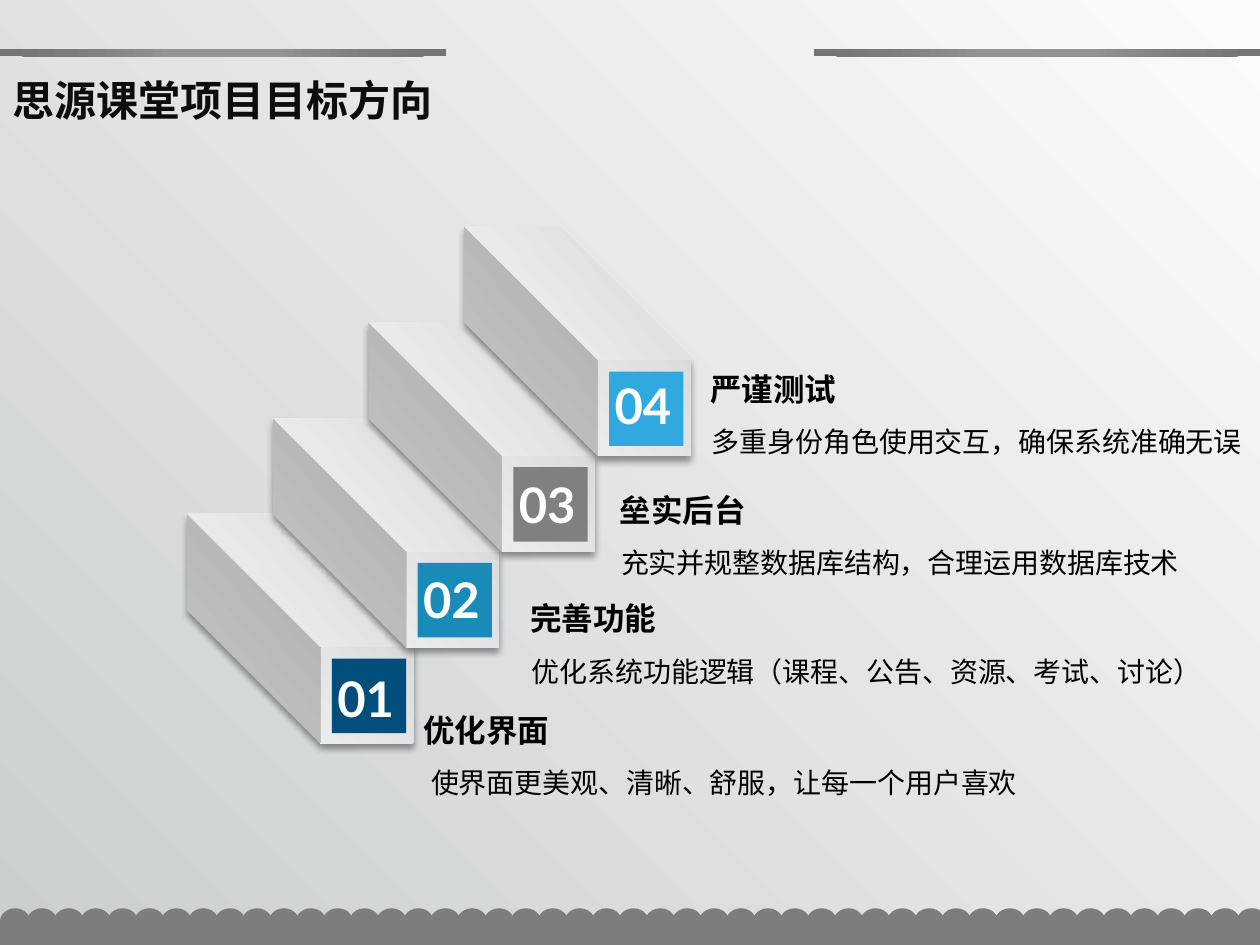
import math
import lxml.etree
import pptx
import pptx.dml.color
import pptx.enum.shapes
import pptx.enum.text
import pptx.oxml.ns
import pptx.util

Cm = pptx.util.Cm
Pt = pptx.util.Pt
qn = pptx.oxml.ns.qn
PRESET = pptx.enum.shapes.MSO_SHAPE
CJK = "Noto Sans CJK SC"
GREY = "7D7D7D"
SILVER = ("FBFBFB", "CBCFD0")
SLIDE_WIDTH, SLIDE_HEIGHT = 25.4, 19.05

STEPS = [
    ("01", 3.78, 13.36, "014E7A", (7.44, 13.82, 14.33), 1.0,
     "优化界面", "使界面更美观、清晰、舒服，让每一个用户喜欢"),
    ("02", 5.51, 11.35, "1A8AB8", (9.6, 11.58, 15.77), 0.87,
     "完善功能", "优化系统功能逻辑（课程、公告、资源、考试、讨论）"),
    ("03", 7.44, 9.45, "808080", (11.4, 9.4, 13.2), 0.87,
     "垒实后台", "充实并规整数据库结构，合理运用数据库技术"),
    ("04", 9.37, 7.44, "2FA9DF", (13.23, 6.96, 12.7), 0.87,
     "严谨测试", "多重身份角色使用交互，确保系统准确无误"),
]


def color(hex_code):
    return pptx.dml.color.RGBColor.from_string(hex_code)


def sub(parent, tag, **attributes):
    return lxml.etree.SubElement(parent, qn(tag), attributes)


def fill_linear(fill, colors, clockwise):
    fill.gradient()
    fill.gradient_angle = 360 - clockwise
    for stop, hex_code in zip(fill.gradient_stops, colors):
        stop.color.rgb = color(hex_code)


def fill_radial(shape, stops):
    shape.fill.gradient()
    gradient = shape._element.spPr.find(qn("a:gradFill"))
    for child in list(gradient):
        gradient.remove(child)
    stop_list = sub(gradient, "a:gsLst")
    for percent, hex_code in stops:
        stop = sub(stop_list, "a:gs", pos=str(percent * 1000))
        sub(stop, "a:srgbClr", val=hex_code)
    circle = sub(gradient, "a:path", path="circle")
    sub(circle, "a:fillToRect", l="50000", t="50000", r="50000", b="50000")


def add_preset(shapes, preset, left, top, width, height, fill=None):
    shape = shapes.add_shape(preset, Cm(left), Cm(top), Cm(width), Cm(height))
    shape.shadow.inherit = False
    shape.line.fill.background()
    if fill:
        shape.fill.solid()
        shape.fill.fore_color.rgb = color(fill)
    return shape


def add_scallops(slide):
    shapes = slide.shapes.add_group_shape().shapes
    top, width, height, pitch, count = 18.31, 0.61, 0.53, 0.542, 46
    add_preset(shapes, PRESET.RECTANGLE, 0, 18.57, SLIDE_WIDTH, 0.48, GREY)
    for index in range(count):
        add_preset(shapes, PRESET.OVAL, index * pitch, top, width, height, GREY)
    center_x, center_y = count * pitch + width / 2, top + height / 2
    cut = math.degrees(math.acos((SLIDE_WIDTH - center_x) / (width / 2)))
    angles = [math.radians(cut + (360 - 2 * cut) * k / 24) for k in range(25)]
    arc = [(Cm(center_x + width / 2 * math.cos(a)),
            Cm(center_y + height / 2 * math.sin(a))) for a in angles]
    builder = shapes.build_freeform(*arc[0])
    builder.add_line_segments(arc[1:], close=True)
    edge = builder.convert_to_shape()
    edge.shadow.inherit = False
    edge.line.fill.background()
    edge.fill.solid()
    edge.fill.fore_color.rgb = color(GREY)


def add_header_bars(slide):
    width = 8.99
    for left in (0, SLIDE_WIDTH - width):
        bar = add_preset(slide.shapes, PRESET.RECTANGLE, left, 0.99, width, 0.15)
        fill_radial(bar, [(0, "939393"), (23, "939393"), (69, "7C7C7C"), (97, "747474")])


def add_stair(shapes, left, top, tile_color):
    cube = add_preset(shapes, PRESET.CUBE, left, top, 4.55, 4.62)
    cube.adjustments[0] = 0.589
    fill_linear(cube.fill, SILVER, 220)
    properties = cube._element.spPr
    properties.find(qn("a:xfrm")).set("flipH", "1")
    shadow = sub(properties.find(qn("a:effectLst")), "a:outerShdw",
                 blurRad=str(Pt(4)), dist=str(Pt(3)), dir="5400000",
                 algn="t", rotWithShape="0")
    sub(sub(shadow, "a:srgbClr", val="000000"), "a:alpha", val="40000")
    add_preset(shapes, PRESET.RECTANGLE, left + 2.91, top + 2.92, 1.5, 1.5, tile_color)


def add_text_box(slide, left, top, width, height, wrap=True):
    box = slide.shapes.add_textbox(Cm(left), Cm(top), Cm(width), Cm(height))
    frame = box.text_frame
    frame.word_wrap = wrap
    frame.auto_size = pptx.enum.text.MSO_AUTO_SIZE.SHAPE_TO_FIT_TEXT
    return frame


def add_run(paragraph, text, size, hex_code, font=CJK, bold=True):
    run = paragraph.add_run()
    run.text = text
    run.font.size = Pt(size)
    run.font.bold = bold
    run.font.color.rgb = color(hex_code)
    run.font.name = font
    sub(run._r.get_or_add_rPr(), "a:ea", typeface=font)


def add_indented(paragraph, indent, text, size, bold):
    paragraph._p.get_or_add_pPr().set("marL", str(Cm(indent)))
    paragraph.line_spacing = 1.5
    add_run(paragraph, text, size, "000000", bold=bold)


def add_goal(slide, place, body_indent, heading, body):
    frame = add_text_box(slide, *place, 2.44)
    add_indented(frame.paragraphs[0], 0.84, heading, 18, True)
    add_indented(frame.add_paragraph(), body_indent, body, 16, False)


def main():
    deck = pptx.Presentation()
    deck.slide_width, deck.slide_height = Cm(SLIDE_WIDTH), Cm(SLIDE_HEIGHT)
    slide = deck.slides.add_slide(deck.slide_layouts[6])
    fill_linear(slide.background.fill, SILVER, 135)
    add_scallops(slide)
    add_header_bars(slide)

    stairs = slide.shapes.add_group_shape().shapes
    for level, (_, left, _, tile_color, *_) in enumerate(STEPS):
        add_stair(stairs, left, 10.36 - 1.93 * level, tile_color)

    for number, left, number_top, _, place, body_indent, heading, body in STEPS:
        add_goal(slide, place, body_indent, heading, body)
        label = add_text_box(slide, left + 2.77, number_top, 1.78, 1.45, wrap=False)
        add_run(label.paragraphs[0], number, 28, "FFFFFF", font="Lato")

    title = add_text_box(slide, 0, 1.37, 11.18, 1.27)
    add_run(title.paragraphs[0], "思源课堂项目目标方向", 24, "0D0D0D")
    deck.save("out.pptx")


if __name__ == "__main__":
    main()
